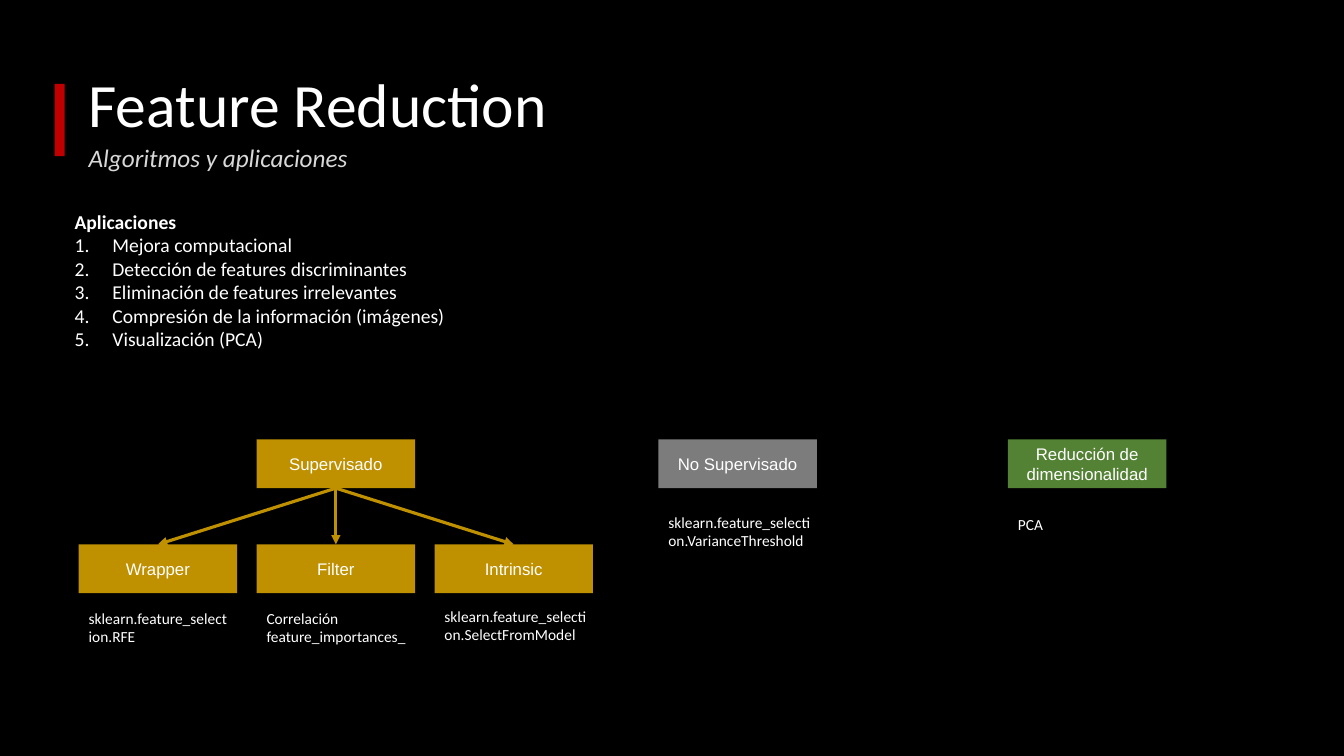
from lxml import etree
from pptx import Presentation
from pptx.dml import color
from pptx.enum import shapes, text
from pptx.oxml import ns
from pptx.util import Pt

COLORS = {
    "background": "000000", "white": "FFFFFF", "subtitle": "D8D8D8", "accent": "C00000",
    "supervised": "BF9000", "unsupervised": "7C7C7C", "reduction": "548235",
}
LEFT, PITCH = 56.2, 127.1
BOX_WIDTH, BOX_HEIGHT = 113.2, 34.8
TOP_ROW, METHOD_ROW = 313.9, 388.9
UNSUPERVISED_LEFT, REDUCTION_LEFT = 470.3, 720
APPLICATIONS = [
    "Mejora computacional",
    "Detección de features discriminantes",
    "Eliminación de features irrelevantes",
    "Compresión de la información (imágenes)",
    "Visualización (PCA)",
]
METHODS = [
    ("Wrapper", ["sklearn.feature_selection.RFE"], 431.3, BOX_WIDTH),
    ("Filter", ["Correlación", "feature_importances_"], 431.3, 121),
    ("Intrinsic", ["sklearn.feature_selection.SelectFromModel"], 429.8, 121),
]


def rgb(name):
    """Return the named colour."""
    return color.RGBColor.from_string(COLORS[name])


def write(paragraph, content, size=11, font="Calibri", fill="white", bold=False,
          italic=False, align=text.PP_ALIGN.LEFT, spacing=1.0):
    """Put formatted text into a paragraph."""
    run = paragraph.add_run()
    run.text = content
    run.font.size, run.font.name = Pt(size), font
    run.font.bold, run.font.italic = bold, italic
    run.font.color.rgb = rgb(fill)
    paragraph.alignment, paragraph.line_spacing = align, spacing


def number(paragraph):
    """Turn a paragraph into an item of a numbered list."""
    properties = paragraph._p.get_or_add_pPr()
    properties.set("marL", str(Pt(27)))
    properties.set("indent", str(-Pt(27)))
    bullet_color = etree.SubElement(properties, ns.qn("a:buClr"))
    etree.SubElement(bullet_color, ns.qn("a:srgbClr"), val=COLORS["white"])
    etree.SubElement(properties, ns.qn("a:buFont"), typeface="+mj-lt")
    etree.SubElement(properties, ns.qn("a:buAutoNum"), type="arabicPeriod")


def add_text(slide, lines, left, top, width, height, anchor=text.MSO_ANCHOR.TOP, **style):
    """Add a wrapping text box with one paragraph per line."""
    frame = slide.shapes.add_textbox(Pt(left), Pt(top), Pt(width), Pt(height)).text_frame
    frame.word_wrap, frame.vertical_anchor = True, anchor
    for index, line in enumerate(lines):
        paragraph = frame.add_paragraph() if index else frame.paragraphs[0]
        write(paragraph, line, **style)
    return frame


def add_rectangle(slide, left, top, width, height, fill):
    """Add a plain filled rectangle."""
    shape = slide.shapes.add_shape(
        shapes.MSO_SHAPE.RECTANGLE, Pt(left), Pt(top), Pt(width), Pt(height))
    shape.shadow.inherit = False
    shape.fill.solid()
    shape.fill.fore_color.rgb = rgb(fill)
    shape.line.fill.background()
    return shape


def add_box(slide, label, left, top, fill):
    """Add a labelled diagram box."""
    shape = add_rectangle(slide, left, top, BOX_WIDTH, BOX_HEIGHT, fill)
    frame = shape.text_frame
    frame.word_wrap, frame.vertical_anchor = True, text.MSO_ANCHOR.MIDDLE
    write(frame.paragraphs[0], label, size=12, font="Arial", align=text.PP_ALIGN.CENTER)
    return shape


def add_arrow(slide, parent, child):
    """Join the bottom of one box to the top of another with an arrow."""
    arrow = slide.shapes.add_connector(shapes.MSO_CONNECTOR.STRAIGHT, 0, 0, 0, 0)
    arrow.begin_connect(parent, 2)
    arrow.end_connect(child, 0)
    arrow.line.color.rgb = rgb("supervised")
    arrow.line.width = Pt(2.25)
    etree.SubElement(arrow.line._get_or_add_ln(), ns.qn("a:tailEnd"), type="triangle")
    etree.SubElement(arrow._element.spPr, ns.qn("a:effectLst"))


def add_heading(slide):
    """Add the title, subtitle and accent bar."""
    add_text(slide, ["Feature Reduction"], LEFT, 24.5, 828, 104.4,
             anchor=text.MSO_ANCHOR.MIDDLE, size=44, spacing=0.9)
    add_text(slide, ["Algoritmos y aplicaciones"], LEFT, 100.8, 432, 37.4,
             size=18, fill="subtitle", italic=True, spacing=0.9)
    add_rectangle(slide, 39, 60, 7.2, 51.6, "accent")


def add_applications(slide):
    """Add the numbered list of applications under its heading."""
    frame = add_text(slide, ["Aplicaciones"], 46.2, 146.2, 838, 160, size=14, bold=True)
    for application in APPLICATIONS:
        paragraph = frame.add_paragraph()
        write(paragraph, application, size=14)
        number(paragraph)


def add_diagram(slide):
    """Add the families of algorithms with their examples."""
    supervised = add_box(slide, "Supervisado", LEFT + PITCH, TOP_ROW, "supervised")
    for index, (label, examples, top, width) in enumerate(METHODS):
        left = LEFT + index * PITCH
        method = add_box(slide, label, left, METHOD_ROW, "supervised")
        add_arrow(slide, supervised, method)
        add_text(slide, examples, left, top, width, 33.8)
    add_box(slide, "No Supervisado", UNSUPERVISED_LEFT, TOP_ROW, "unsupervised")
    add_text(slide, ["sklearn.feature_selection.VarianceThreshold"],
             UNSUPERVISED_LEFT, 362.9, 121, 33.8)
    add_box(slide, "Reducción de dimensionalidad", REDUCTION_LEFT, TOP_ROW, "reduction")
    add_text(slide, ["PCA"], REDUCTION_LEFT, 364.3, 121, 20.9)


def main():
    """Build and save the slide."""
    presentation = Presentation()
    presentation.slide_width, presentation.slide_height = Pt(960), Pt(540)
    slide = presentation.slides.add_slide(presentation.slide_layouts[6])
    slide.background.fill.solid()
    slide.background.fill.fore_color.rgb = rgb("background")
    add_heading(slide)
    add_applications(slide)
    add_diagram(slide)
    presentation.save("out.pptx")


if __name__ == "__main__":
    main()
